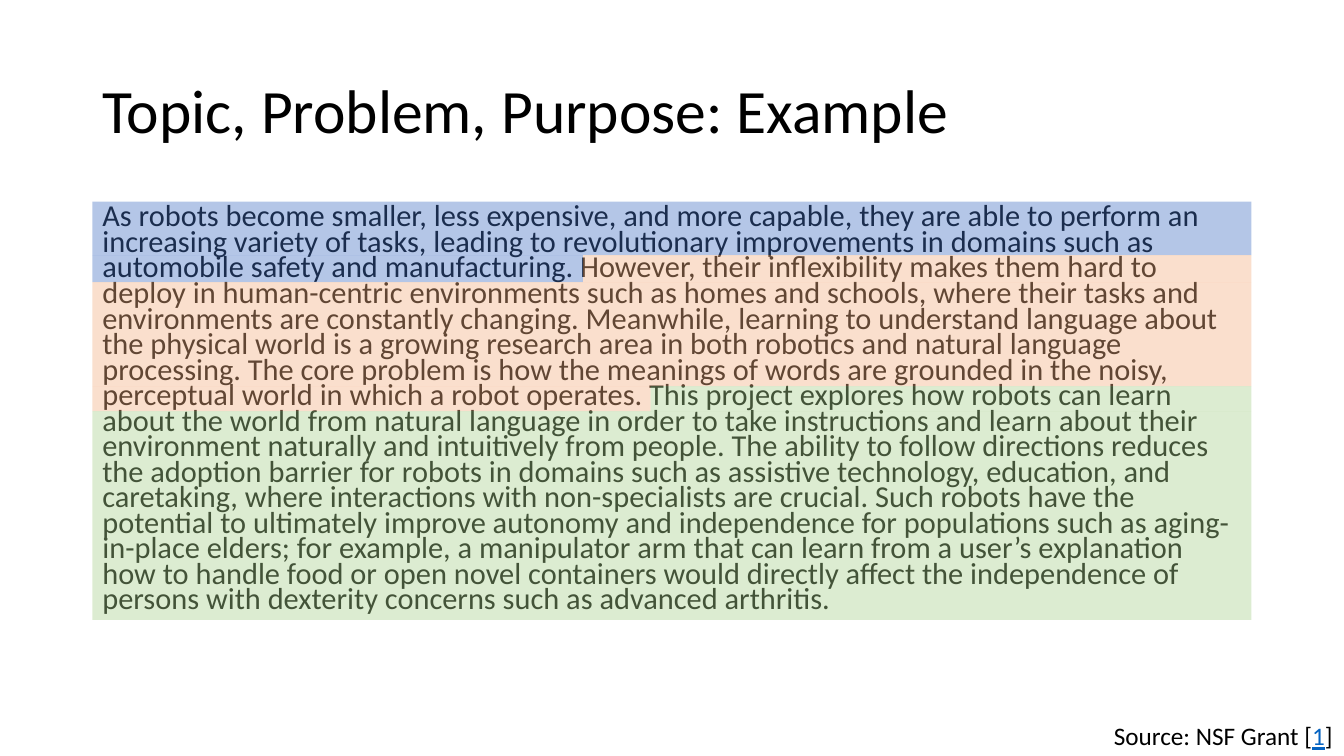
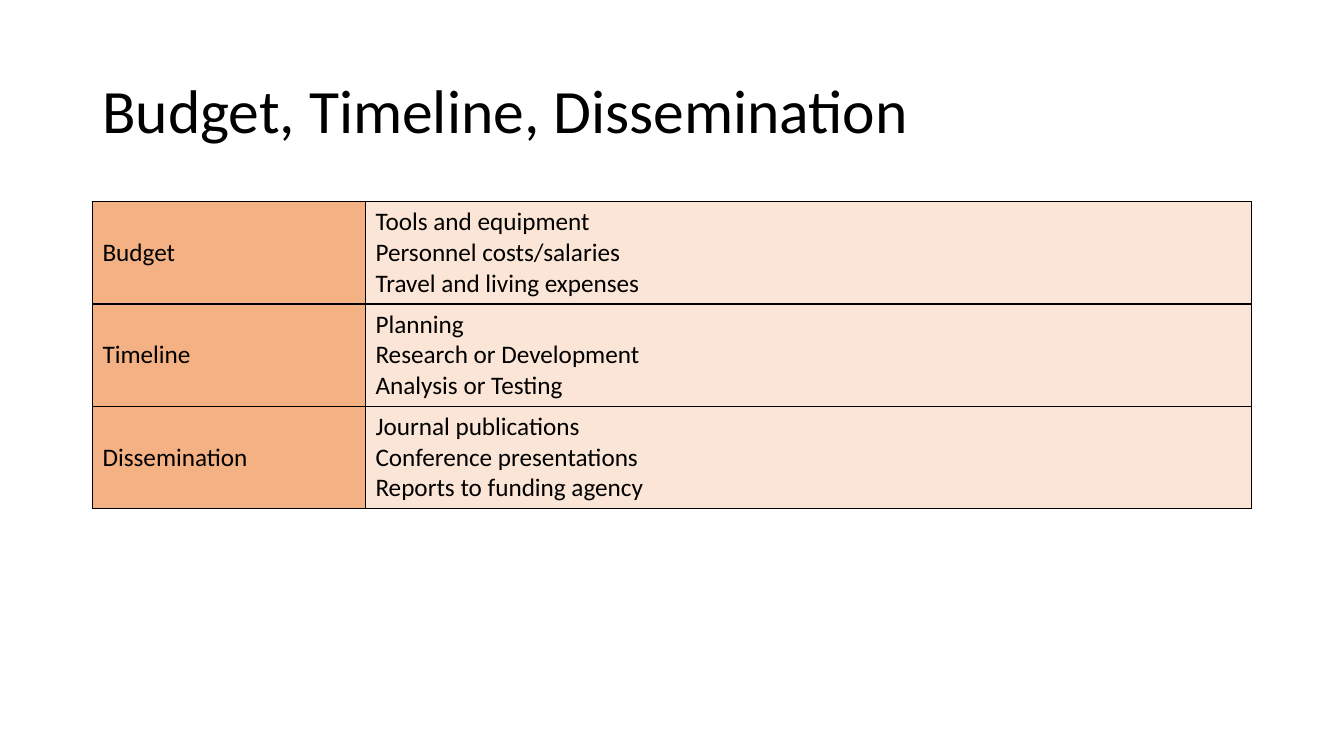
from lxml.etree import SubElement
from pptx import Presentation
from pptx.dml.color import RGBColor
from pptx.enum.shapes import MSO_SHAPE
from pptx.enum.text import MSO_ANCHOR as Anchor
from pptx.oxml.ns import qn
from pptx.util import Cm, Pt

FONT = "Calibri"
COLORS = {
    "text": "000000",
    "link": "0563C1",
    "topic": "4472C4",
    "problem": "F4B183",
    "purpose": "A9D18E",
    "label": "F4B183",
    "detail": "FBE5D6",
}
HIGHLIGHT_ALPHA = 40

# Boxes as left, top, width, height in centimetres
TITLE_BOX = (2.33, 1.02, 29.21, 3.68)
BODY_BOX = (2.33, 5.08, 29.21, 12.09)
SOURCE_BOX = (27.82, 18.03, 6.05, 1.02)
TABLE_BOX = (2.33, 5.08, 29.21, 7.74)
LABEL_WIDTH = 6.88

# Passages of the abstract, each named after its highlight colour
PASSAGES = {
    "topic": (
        "As robots become smaller, less expensive, and more capable, they are able to perform an "
        "increasing variety of tasks, leading to revolutionary improvements in domains such as "
        "automobile safety and manufacturing."
    ),
    "problem": (
        "However, their inflexibility makes them hard to deploy in human-centric environments "
        "such as homes and schools, where their tasks and environments are constantly changing. "
        "Meanwhile, learning to understand language about the physical world is a growing "
        "research area in both robotics and natural language processing. The core problem is how "
        "the meanings of words are grounded in the noisy, perceptual world in which a robot "
        "operates."
    ),
    "purpose": (
        "This project explores how robots can learn about the world from natural language in "
        "order to take instructions and learn about their environment naturally and intuitively "
        "from people. The ability to follow directions reduces the adoption barrier for robots "
        "in domains such as assistive technology, education, and caretaking, where interactions "
        "with non-specialists are crucial. Such robots have the potential to ultimately improve "
        "autonomy and independence for populations such as aging-in-place elders; for example, a "
        "manipulator arm that can learn from a user’s explanation how to handle food or open "
        "novel containers would directly affect the independence of persons with dexterity "
        "concerns such as advanced arthritis."
    ),
}
# Lines where one passage gives way to the next: top, bottom, x, relative to the body
PASSAGE_BREAKS = ((1.35, 2.03, 12.36), (4.65, 5.28, 14.07))
PASSAGES_END = 10.54

PLAN = {
    "Budget": ("Tools and equipment", "Personnel costs/salaries", "Travel and living expenses"),
    "Timeline": ("Planning", "Research or Development", "Analysis or Testing"),
    "Dissemination": (
        "Journal publications", "Conference presentations", "Reports to funding agency"),
}


def rgb(name):
    return RGBColor.from_string(COLORS[name])


def format_run(run, size, color="text"):
    run.font.name = FONT
    run.font.size = Pt(size)
    run.font.color.rgb = rgb(color)


def add_text(slide, box, text, size, spacing=1.0, anchor=Anchor.TOP, wrap=True):
    textbox = slide.shapes.add_textbox(*map(Cm, box))
    frame = textbox.text_frame
    frame.text = text
    frame.word_wrap = wrap
    frame.vertical_anchor = anchor
    paragraph = frame.paragraphs[0]
    paragraph.line_spacing = spacing
    format_run(paragraph.runs[0], size)
    return paragraph


def add_titled_slide(deck, title):
    slide = deck.slides.add_slide(deck.slide_layouts[6])
    add_text(slide, TITLE_BOX, title, 44, 0.9, Anchor.MIDDLE)
    return slide


def add_highlight(slide, box, passage):
    band = slide.shapes.add_shape(MSO_SHAPE.RECTANGLE, *map(Cm, box))
    band.shadow.inherit = False
    band.line.fill.background()
    band.fill.solid()
    band.fill.fore_color.rgb = rgb(passage)
    color = band._element.spPr.find(qn("a:solidFill"))[0]
    SubElement(color, qn("a:alpha"), val=str(HIGHLIGHT_ALPHA * 1000))


def add_highlights(slide, box):
    left, top, width, _ = box
    names = list(PASSAGES)
    start = 0
    for index, (line_top, line_bottom, x) in enumerate(PASSAGE_BREAKS):
        before, after = names[index:index + 2]
        line_height = line_bottom - line_top
        # Full lines, then the two parts of the shared line
        add_highlight(slide, (left, top + start, width, line_top - start), before)
        add_highlight(slide, (left, top + line_top, x, line_height), before)
        add_highlight(slide, (left + x, top + line_top, width - x, line_height), after)
        start = line_bottom
    add_highlight(slide, (left, top + start, width, PASSAGES_END - start), names[-1])


def add_source(slide, box):
    source = add_text(slide, box, "Source: NSF Grant [", 18, wrap=False)
    for text, color in (("1", "link"), ("]", "text")):
        run = source.add_run()
        run.text = text
        format_run(run, 18, color)
        run.font.underline = color == "link"


def add_borders(cell):
    properties = cell._tc.get_or_add_tcPr()
    for index, side in enumerate(("lnL", "lnR", "lnT", "lnB")):
        border = properties.makeelement(qn(f"a:{side}"), {"w": str(Pt(1))})
        fill = SubElement(border, qn("a:solidFill"))
        SubElement(fill, qn("a:srgbClr"), val=COLORS["text"])
        properties.insert(index, border)


def fill_cell(cell, lines, color):
    cell.text_frame.text = "\n".join(lines)
    cell.vertical_anchor = Anchor.MIDDLE
    cell.fill.solid()
    cell.fill.fore_color.rgb = rgb(color)
    for paragraph in cell.text_frame.paragraphs:
        format_run(paragraph.runs[0], 18)
    add_borders(cell)


def add_plan_table(slide, box):
    table = slide.shapes.add_table(len(PLAN), 2, *map(Cm, box)).table
    table.first_row = table.horz_banding = False
    table.columns[0].width = Cm(LABEL_WIDTH)
    table.columns[1].width = Cm(box[2] - LABEL_WIDTH)
    for row, (label, details) in zip(table.rows, PLAN.items()):
        fill_cell(row.cells[0], [label], "label")
        fill_cell(row.cells[1], details, "detail")


def build_example(deck):
    slide = add_titled_slide(deck, "Topic, Problem, Purpose: Example")
    add_text(slide, BODY_BOX, " ".join(PASSAGES.values()), 21.7, 0.7)
    add_source(slide, SOURCE_BOX)
    add_highlights(slide, BODY_BOX)


def build_plan(deck):
    slide = add_titled_slide(deck, "Budget, Timeline, Dissemination")
    add_plan_table(slide, TABLE_BOX)


def main():
    deck = Presentation()
    deck.slide_width, deck.slide_height = Cm(33.87), Cm(19.05)
    build_example(deck)
    build_plan(deck)
    deck.save("out.pptx")


if __name__ == "__main__":
    main()
